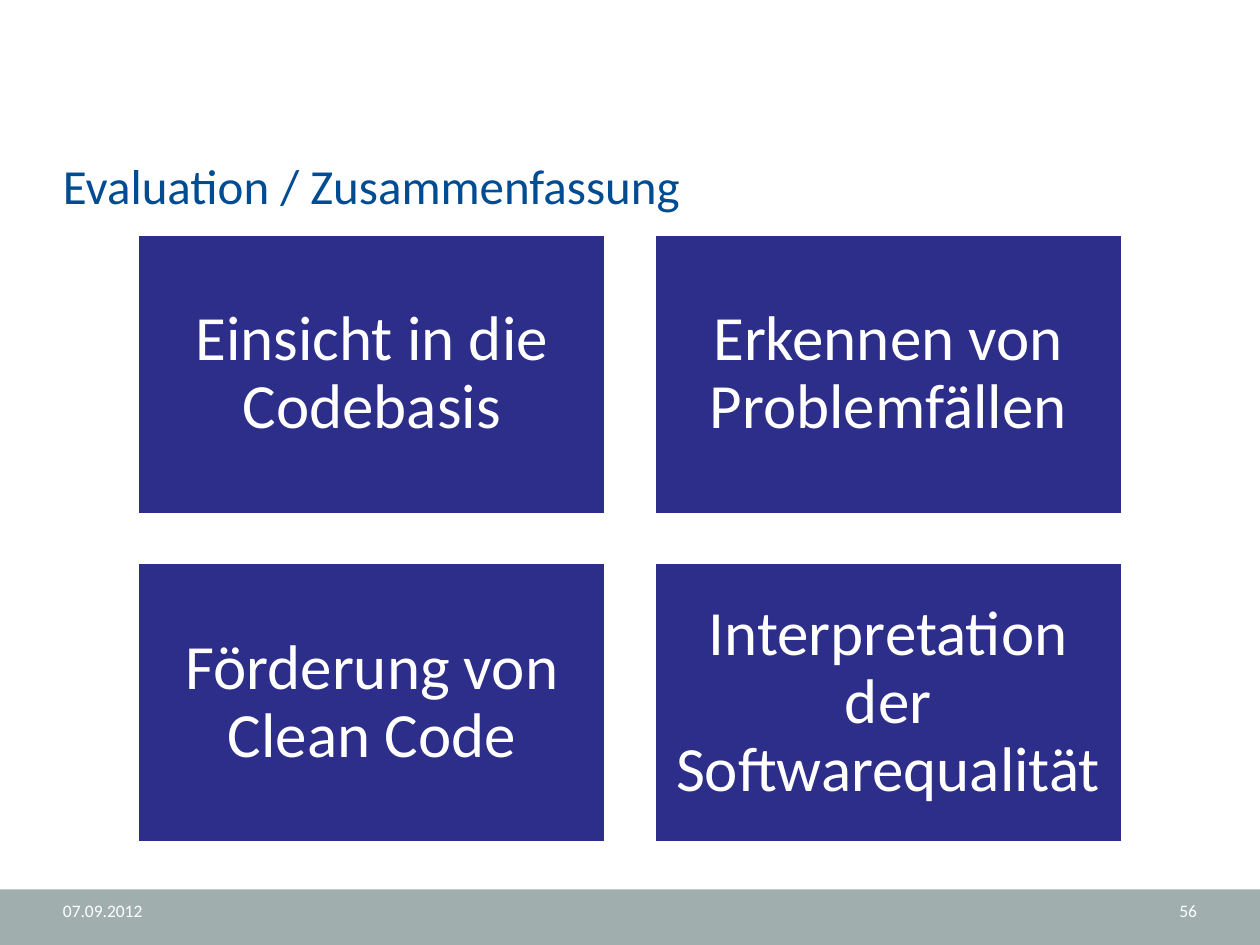
from dataclasses import dataclass

import pptx
import pptx.dml.color
import pptx.enum.shapes
import pptx.enum.text
import pptx.util
from pptx.util import Cm

ALIGN = pptx.enum.text.PP_ALIGN
ANCHOR = pptx.enum.text.MSO_ANCHOR
COLORS = {
    "title": "004C93",
    "card": "2D2D8A",
    "footer": "A0AFAE",
    "light": "FFFFFF",
}
SLIDE_WIDTH, SLIDE_HEIGHT = 25.4, 19.05
MARGIN = 1.27
CARD_WIDTH, CARD_HEIGHT = 9.45, 5.66
CARD_GAP = 0.96
CARD_TOP = 4.72
COLUMNS = 2
CARD_TEXTS = [
    "Einsicht in die Codebasis",
    "Erkennen von Problemfällen",
    "Förderung von Clean Code",
    "Interpretation der Softwarequalität",
]


@dataclass
class Box:
    """Position and size in centimetres."""
    left: float
    top: float
    width: float
    height: float

    def lengths(self) -> tuple:
        return Cm(self.left), Cm(self.top), Cm(self.width), Cm(self.height)


def rgb(name: str) -> pptx.dml.color.RGBColor:
    return pptx.dml.color.RGBColor.from_string(COLORS[name])


def write_text(shape, text: str, *, size: float, color: str = "light",
               align=ALIGN.LEFT, anchor=ANCHOR.TOP, inset: float = 0,
               line_spacing: float = 1.0) -> None:
    frame = shape.text_frame
    frame.word_wrap = True
    frame.vertical_anchor = anchor
    frame.margin_left = frame.margin_right = Cm(inset)
    frame.margin_top = frame.margin_bottom = Cm(inset)
    paragraph = frame.paragraphs[0]
    paragraph.alignment = align
    paragraph.line_spacing = line_spacing
    run = paragraph.add_run()
    run.text = text
    run.font.name = "Calibri"
    run.font.size = pptx.util.Pt(size)
    run.font.color.rgb = rgb(color)


def add_label(slide, box: Box, text: str, **text_format) -> None:
    write_text(slide.shapes.add_textbox(*box.lengths()), text, **text_format)


def add_rectangle(slide, box: Box, fill: str):
    rectangle = slide.shapes.add_shape(
        pptx.enum.shapes.MSO_SHAPE.RECTANGLE, *box.lengths())
    rectangle.shadow.inherit = False
    rectangle.fill.solid()
    rectangle.fill.fore_color.rgb = rgb(fill)
    rectangle.line.fill.background()
    return rectangle


def add_card(slide, box: Box, text: str) -> None:
    card = add_rectangle(slide, box, "card")
    card.line.color.rgb = rgb("light")
    card.line.width = pptx.util.Pt(2)
    write_text(card, text, size=36, align=ALIGN.CENTER, anchor=ANCHOR.MIDDLE,
               inset=0.38, line_spacing=0.9)


def main() -> None:
    presentation = pptx.Presentation()
    presentation.slide_width = Cm(SLIDE_WIDTH)
    presentation.slide_height = Cm(SLIDE_HEIGHT)
    slide = presentation.slides.add_slide(presentation.slide_layouts[6])

    add_rectangle(slide, Box(0, 17.93, SLIDE_WIDTH, 1.12), "footer")
    add_label(slide, Box(MARGIN, 1.73, SLIDE_WIDTH - 2 * MARGIN, 2.59),
              "Evaluation / Zusammenfassung",
              size=28, color="title", anchor=ANCHOR.BOTTOM)

    date_box = Box(MARGIN, 18.14, 5.92, 0.61)
    number_box = Box(SLIDE_WIDTH - MARGIN - date_box.width, date_box.top,
                     date_box.width, date_box.height)
    add_label(slide, date_box, "07.09.2012", size=10)
    add_label(slide, number_box, "56", size=10, align=ALIGN.RIGHT)

    grid_width = COLUMNS * CARD_WIDTH + (COLUMNS - 1) * CARD_GAP
    grid_left = (SLIDE_WIDTH - grid_width) / 2
    for index, text in enumerate(CARD_TEXTS):
        row, column = divmod(index, COLUMNS)
        add_card(slide, Box(grid_left + column * (CARD_WIDTH + CARD_GAP),
                            CARD_TOP + row * (CARD_HEIGHT + CARD_GAP),
                            CARD_WIDTH, CARD_HEIGHT), text)

    presentation.save("out.pptx")


if __name__ == "__main__":
    main()
